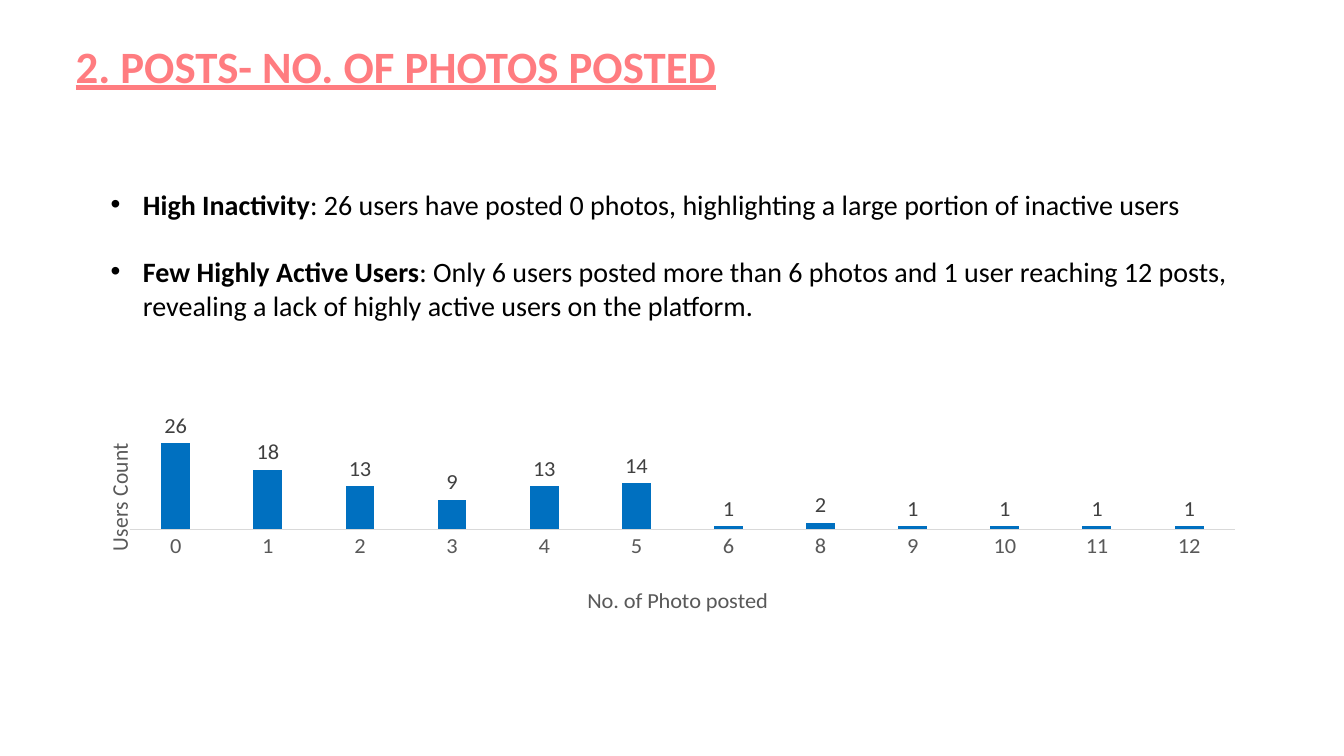
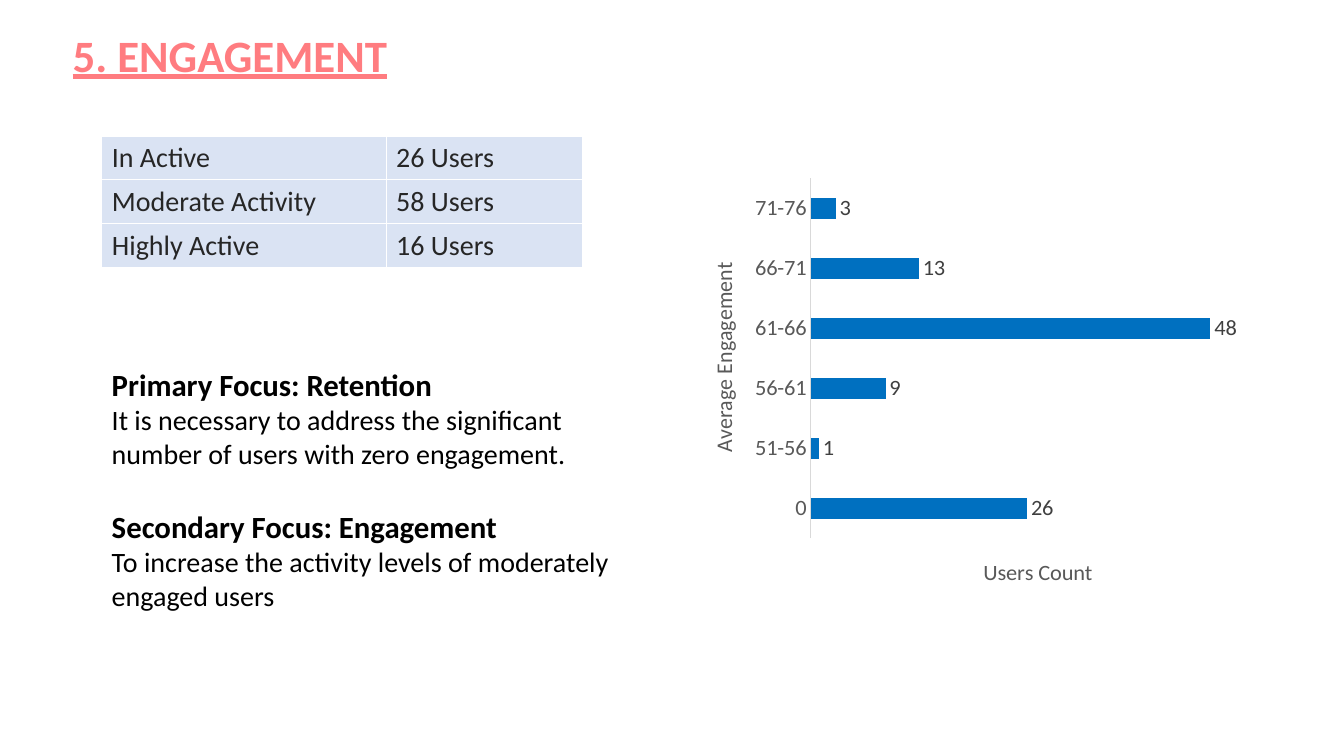
"""Build two slides on user posts and engagement."""
from lxml import etree
from pptx import Presentation
from pptx import util as u
from pptx.chart import data
from pptx.dml.color import RGBColor
from pptx.enum import chart as ch, text
from pptx.oxml import ns

COLORS = {"title": "FF7C80", "body": "000000", "cell_text": "262626", "cell": "DAE3F3",
          "border": "FFFFFF", "bar": "0070C0", "axis_text": "595959",
          "axis_line": "D9D9D9", "label": "404040"}
FONT = "Calibri"


def rgb(name):
    return RGBColor.from_string(COLORS[name])


def apply(target, values):
    for key, value in values.items():
        setattr(target, key, value)


def child(parent, tag, **attributes):
    return etree.SubElement(parent, ns.qn(tag), attributes)


class Deck:
    def __init__(self):
        self.prs = Presentation()
        apply(self.prs, {"slide_width": u.Inches(13.33), "slide_height": u.Inches(7.5)})
        self.slide = None

    def save(self):
        self.prs.save("out.pptx")

    def style(self, font, size, color, **values):
        apply(font, {"name": FONT, "size": u.Pt(size), "bold": False, **values})
        font.color.rgb = rgb(color)

    def add_slide(self, heading, left, top, rule_end=None):
        self.slide = self.prs.slides.add_slide(self.prs.slide_layouts[5])
        title = self.slide.shapes.title
        apply(title, {"left": u.Inches(left), "top": u.Inches(top),
                      "width": u.Inches(11.22), "height": u.Inches(0.64)})
        apply(title.text_frame, {"vertical_anchor": text.MSO_ANCHOR.TOP,
                                 "auto_size": text.MSO_AUTO_SIZE.NONE, "word_wrap": True})
        paragraph = title.text_frame.paragraphs[0]
        paragraph.alignment = text.PP_ALIGN.LEFT
        run = paragraph.add_run()
        run.text = heading
        self.style(run.font, 32, "title", bold=True, underline=True)
        if rule_end:
            run.text += "\t"
            stops = child(paragraph._p.get_or_add_pPr(), "a:tabLst")
            child(stops, "a:tab", pos=str(u.Inches(rule_end)), algn="l")

    def add_text(self, box, paragraphs, anchor=text.MSO_ANCHOR.TOP, bullet=False):
        frame = self.slide.shapes.add_textbox(*map(u.Inches, box)).text_frame
        apply(frame, {"word_wrap": True, "vertical_anchor": anchor})
        for index, (gap, runs) in enumerate(paragraphs):
            paragraph = frame.paragraphs[0] if index == 0 else frame.add_paragraph()
            paragraph.space_before = u.Pt(gap)
            if bullet:
                properties = paragraph._p.get_or_add_pPr()
                properties.set("marL", str(u.Inches(0.56)))
                properties.set("indent", str(u.Inches(-0.32)))
                child(properties, "a:buFont", typeface="Arial")
                child(properties, "a:buChar", char="•")
            for words, size, bold in runs:
                run = paragraph.add_run()
                run.text = words
                self.style(run.font, size, "body", bold=bold)

    def add_table(self, box, widths, rows):
        table = self.slide.shapes.add_table(len(rows), len(widths),
                                            *map(u.Inches, box)).table
        apply(table, {"first_row": False, "horz_banding": False})
        for column, width in zip(table.columns, widths):
            column.width = u.Inches(width)
        for r, row in enumerate(rows):
            for c, words in enumerate(row):
                cell = table.cell(r, c)
                cell.text = words
                self.style(cell.text_frame.paragraphs[0].runs[0].font, 20, "cell_text")
                properties = cell._tc.get_or_add_tcPr()
                for side in ("a:lnL", "a:lnR", "a:lnT", "a:lnB"):
                    border = child(properties, side, w=str(u.Pt(1)))
                    child(child(border, "a:solidFill"), "a:srgbClr", val=COLORS["border"])
                cell.fill.solid()
                cell.fill.fore_color.rgb = rgb("cell")

    def place(self, element, **values):
        layout = element.find(ns.qn("c:layout"))
        if layout is None:
            layout = etree.Element(ns.qn("c:layout"))
            element.insert(0, layout)
        manual = child(layout, "c:manualLayout")
        for key, value in values.items():
            child(manual, f"c:{key}", val=str(value))

    def add_axis_title(self, axis, words, x, y, vertical):
        frame = axis.axis_title.text_frame
        frame.text = words
        self.style(frame.paragraphs[0].runs[0].font, 16, "axis_text")
        body = axis.axis_title._element.find(".//" + ns.qn("a:bodyPr"))
        body.set("rot", "-5400000" if vertical else "0")
        body.set("vert", "horz")
        self.place(axis.axis_title._element, xMode="edge", yMode="edge", x=x, y=y)

    def add_bars(self, kind, box, values, plot_box, gap, maximum, category_title, value_title):
        chart_data = data.CategoryChartData()
        chart_data.categories = list(values)
        chart_data.add_series("Series 1", list(values.values()))
        chart = self.slide.shapes.add_chart(kind, *map(u.Inches, box), chart_data).chart
        apply(chart, {"has_legend": False, "has_title": False})
        self.style(chart.font, 16, "body")
        plot = chart.plots[0]
        apply(plot, {"gap_width": gap, "vary_by_categories": False, "has_data_labels": True})
        apply(plot.data_labels, {"show_value": True,
                                 "position": ch.XL_LABEL_POSITION.OUTSIDE_END})
        self.style(plot.data_labels.font, 16, "label")
        fill = plot.series[0].format.fill
        fill.solid()
        fill.fore_color.rgb = rgb("bar")
        category, value = chart.category_axis, chart.value_axis
        apply(category, {"major_tick_mark": ch.XL_TICK_MARK.NONE,
                         "has_major_gridlines": False})
        self.style(category.tick_labels.font, 16, "axis_text")
        category.format.line.width = u.Pt(0.75)
        category.format.line.color.rgb = rgb("axis_line")
        apply(value, {"visible": False, "has_major_gridlines": False,
                      "minimum_scale": 0, "maximum_scale": maximum})
        columns = kind == ch.XL_CHART_TYPE.COLUMN_CLUSTERED
        self.add_axis_title(category, *category_title, vertical=not columns)
        self.add_axis_title(value, *value_title, vertical=columns)
        area = chart._chartSpace.find(".//" + ns.qn("c:plotArea"))
        self.place(area, layoutTarget="inner", xMode="edge", yMode="edge",
                   **dict(zip("xywh", plot_box)))


def main():
    deck = Deck()

    deck.add_slide("2. POSTS- NO. OF PHOTOS POSTED", 0.65, 0.33, rule_end=7.97)
    deck.add_bars(
        ch.XL_CHART_TYPE.COLUMN_CLUSTERED, (0.76, 4.08, 11.69, 2.08),
        {"0": 26, "1": 18, "2": 13, "3": 9, "4": 13, "5": 14,
         "6": 1, "8": 2, "9": 1, "10": 1, "11": 1, "12": 1},
        (0.045, 0.093, 0.938, 0.496), 219, 30,
        ("No. of Photo posted", 0.43, 0.85), ("Users Count", 0.02, 0.16))
    deck.add_text((0.76, 1.8, 11.81, 1.45), [
        (0, [("High Inactivity", 20, True),
             (": 26 users have posted 0 photos, highlighting a large portion of "
              "inactive users", 20, False)]),
        (24, [("Few Highly Active Users", 20, True),
              (": Only 6 users posted more than 6 photos and 1 user reaching 12 posts, "
               "revealing a lack of highly active users on the platform.", 20, False)]),
    ], anchor=text.MSO_ANCHOR.MIDDLE, bullet=True)

    deck.add_slide("5. ENGAGEMENT", 0.62, 0.22)
    deck.add_bars(
        ch.XL_CHART_TYPE.BAR_CLUSTERED, (6.67, 1.6, 6.34, 4.29),
        {"0": 26, "51-56": 1, "56-61": 9, "61-66": 48, "66-71": 13, "71-76": 3},
        (0.216, 0.041, 0.782, 0.852), 182, 60,
        ("Average Engagement", 0.05, 0.24), ("Users Count", 0.48, 0.93))
    deck.add_text((1.01, 3.58, 5.21, 2.56), [
        (0, [("Primary Focus: Retention", 22, True)]),
        (0, [("It is necessary to address the significant number of users with zero "
              "engagement.", 20, False)]),
        (27, [("Secondary Focus: Engagement", 22, True)]),
        (0, [("To increase the activity levels of moderately engaged users", 20, False)]),
    ])
    deck.add_table((1.01, 1.35, 4.77, 1.3), (2.82, 1.95), [
        ("In Active", "26 Users"),
        ("Moderate Activity", "58 Users"),
        ("Highly Active", "16 Users"),
    ])
    deck.save()


if __name__ == "__main__":
    main()
